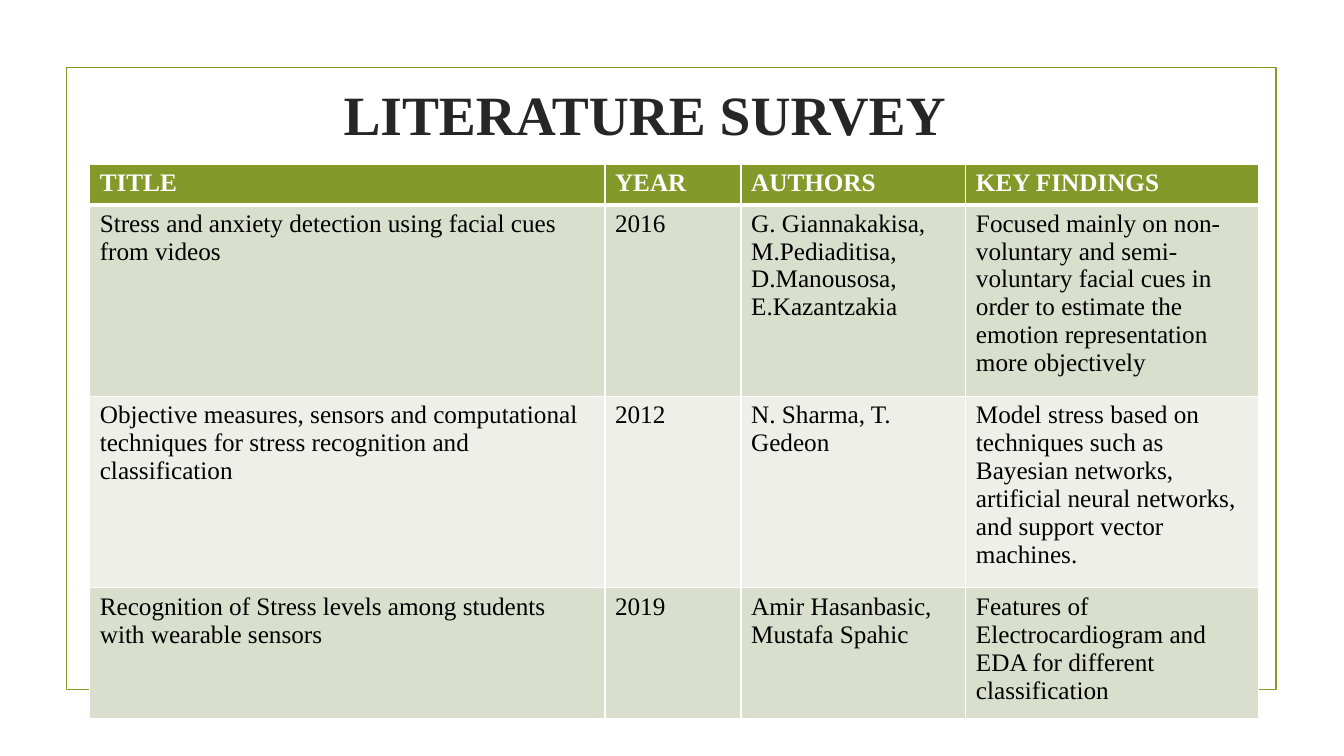
from dataclasses import dataclass

from lxml import etree
from pptx import Presentation
from pptx.dml.color import RGBColor
from pptx.enum import shapes, text
from pptx.oxml import ns
from pptx.util import Inches, Pt


@dataclass(frozen=True)
class Theme:
    font: str = "Times New Roman"
    green: str = "83992A"
    title: str = "262626"
    body: str = "000000"
    white: str = "FFFFFF"
    bands: tuple = ("D9DECD", "EDEFE8")
    title_size: float = 39.6
    table_size: float = 18


THEME = Theme()
COLUMN_WIDTHS = (5.11, 1.35, 2.23, 2.9)
ROW_HEIGHTS = (0.36, 1.76, 1.76, 1.2)
SURVEY = (
    ("TITLE", "YEAR", "AUTHORS", "KEY FINDINGS"),
    ("Stress and anxiety detection using facial cues from videos",
     "2016",
     "G. Giannakakisa, M.Pediaditisa, D.Manousosa, E.Kazantzakia",
     "Focused mainly on non-voluntary and semi-voluntary facial cues in order "
     "to estimate the\nemotion representation more objectively"),
    ("Objective measures, sensors and computational techniques for stress "
     "recognition and classification",
     "2012",
     "N. Sharma, T. Gedeon",
     "Model stress based on techniques such as Bayesian networks, artificial "
     "neural networks, and support vector machines."),
    ("Recognition of Stress levels among students with wearable sensors",
     "2019",
     "Amir Hasanbasic, Mustafa Spahic",
     "Features of Electrocardiogram and EDA for different classification"),
)


def rgb(color):
    return RGBColor.from_string(color)


def style_text(tf, size, color, bold):
    for p in tf.paragraphs:
        p.font.name = THEME.font
        p.font.size = Pt(size)
        p.font.bold = bold
        p.font.color.rgb = rgb(color)


def add_frame(s):
    sp = s.shapes.add_shape(shapes.MSO_SHAPE.RECTANGLE, Inches(0.66),
                            Inches(0.67), Inches(12), Inches(6.17))
    sp.shadow.inherit = False
    sp.fill.background()
    sp.line.color.rgb = rgb(THEME.green)
    sp.line.width = Pt(1.25)


def add_title(s, title):
    sp = s.shapes.add_textbox(Inches(1.89), Inches(0.86),
                              Inches(9.01), Inches(0.53))
    tf = sp.text_frame
    tf.word_wrap = True
    tf.vertical_anchor = text.MSO_ANCHOR.MIDDLE
    tf.text = title
    tf.paragraphs[0].alignment = text.PP_ALIGN.CENTER
    style_text(tf, THEME.title_size, THEME.title, True)


def set_borders(cell, top, bottom):
    """Draw white cell borders; top and bottom are widths in points."""
    tc_pr = cell._tc.get_or_add_tcPr()
    widths = {"a:lnL": 1, "a:lnR": 1, "a:lnT": top, "a:lnB": bottom}
    for i, (side, width) in enumerate(widths.items()):
        ln = etree.Element(ns.qn(side), w=str(Pt(width)))
        fill = etree.SubElement(ln, ns.qn("a:solidFill"))
        etree.SubElement(fill, ns.qn("a:srgbClr"), val=THEME.white)
        tc_pr.insert(i, ln)


def add_survey_table(s):
    table = s.shapes.add_table(
        len(SURVEY), len(COLUMN_WIDTHS), Inches(0.89), Inches(1.63),
        Inches(sum(COLUMN_WIDTHS)), Inches(sum(ROW_HEIGHTS))).table
    for column, width in zip(table.columns, COLUMN_WIDTHS):
        column.width = Inches(width)
    for row, height in zip(table.rows, ROW_HEIGHTS):
        row.height = Inches(height)

    for i, values in enumerate(SURVEY):
        header = i == 0
        fill = THEME.green if header else THEME.bands[(i - 1) % 2]
        color = THEME.white if header else THEME.body
        for j, value in enumerate(values):
            cell = table.cell(i, j)
            cell.text = value
            style_text(cell.text_frame, THEME.table_size, color, header)
            cell.fill.solid()
            cell.fill.fore_color.rgb = rgb(fill)
            set_borders(cell, top=3 if i == 1 else 1, bottom=3 if header else 1)


def main():
    prs = Presentation()
    prs.slide_width, prs.slide_height = Inches(13.33), Inches(7.5)
    s = prs.slides.add_slide(prs.slide_layouts[6])
    add_frame(s)
    add_title(s, "LITERATURE SURVEY")
    add_survey_table(s)
    prs.save("out.pptx")


if __name__ == "__main__":
    main()
